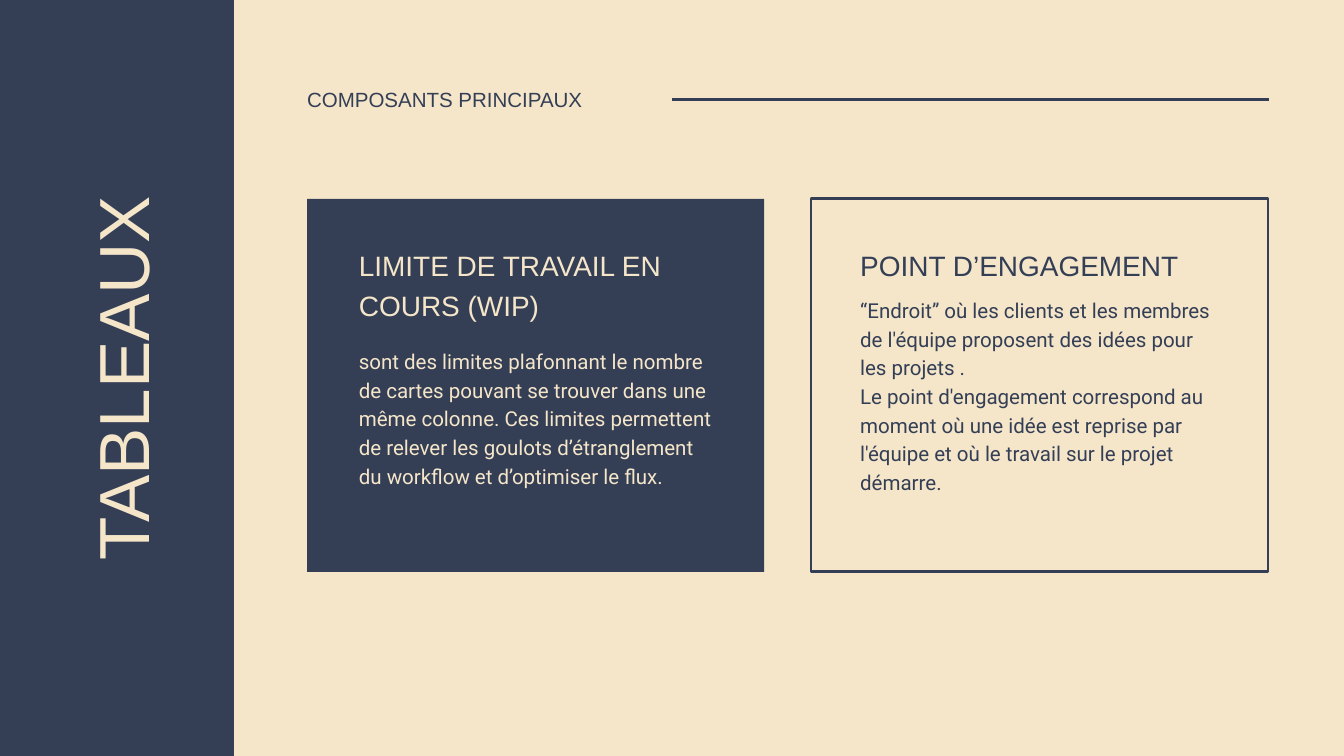
import dataclasses

import pptx
import pptx.dml.color
import pptx.enum.shapes
import pptx.enum.text
import pptx.oxml
import pptx.oxml.ns
import pptx.util

Inches = pptx.util.Inches
Pt = pptx.util.Pt


@dataclasses.dataclass(frozen=True)
class Theme:
    navy: str = "343F56"
    cream: str = "F5E6CA"
    heading_font: str = "Arial"
    body_font: str = "Roboto"
    title_size: int = 76
    heading_size: int = 30
    body_size: int = 22
    leading: float = 1.4
    rule_width: int = 3


THEME = Theme()
SLIDE_WIDTH, SLIDE_HEIGHT = 20, 11.25
SIDEBAR_WIDTH = 3.48
CARD_LEFT, CARD_TOP = 4.57, 2.96
CARD_WIDTH, CARD_HEIGHT, CARD_GAP = 6.8, 5.55, 0.7
HEADING_TOP = 3.62


def rgb(color):
    return pptx.dml.color.RGBColor.from_string(color)


def add_panel(slide, left, top, width, height, fill=None, outline=None):
    panel = slide.shapes.add_shape(
        pptx.enum.shapes.MSO_SHAPE.RECTANGLE,
        Inches(left), Inches(top), Inches(width), Inches(height))
    panel.shadow.inherit = False
    if fill:
        panel.fill.solid()
        panel.fill.fore_color.rgb = rgb(fill)
    else:
        panel.fill.background()
    if outline:
        panel.line.color.rgb = rgb(outline)
        panel.line.width = Pt(THEME.rule_width)
    else:
        panel.line.fill.background()


def add_text(slide, left, top, width, height, paragraphs, size, font, color,
             align=pptx.enum.text.PP_ALIGN.LEFT):
    box = slide.shapes.add_textbox(
        Inches(left), Inches(top), Inches(width), Inches(height))
    frame = box.text_frame
    frame.word_wrap = True
    frame.margin_left = frame.margin_right = 0
    frame.margin_top = frame.margin_bottom = 0
    for index, wording in enumerate(paragraphs):
        paragraph = frame.add_paragraph() if index else frame.paragraphs[0]
        paragraph.alignment = align
        paragraph.line_spacing = Pt(size * THEME.leading)
        run = paragraph.add_run()
        run.text = wording
        run.font.size = Pt(size)
        run.font.name = font
        run.font.color.rgb = rgb(color)
    return box


def add_rule(slide, start, end, y):
    rule = slide.shapes.add_connector(
        pptx.enum.shapes.MSO_CONNECTOR.STRAIGHT,
        Inches(start), Inches(y), Inches(end), Inches(y))
    rule.line.color.rgb = rgb(THEME.navy)
    rule.line.width = Pt(THEME.rule_width)
    properties = rule._element.spPr
    properties.append(pptx.oxml.parse_xml(
        f'<a:effectLst {pptx.oxml.ns.nsdecls("a")}/>'))


def add_sidebar(slide, title):
    add_panel(slide, 0, 0, SIDEBAR_WIDTH, SLIDE_HEIGHT, fill=THEME.navy)
    label = add_text(slide, -2.79, 4.88, 9, 1.5, [title], THEME.title_size,
                     THEME.heading_font, THEME.cream,
                     pptx.enum.text.PP_ALIGN.CENTER)
    label.rotation = 270


def add_card(slide, column, heading, heading_size, body, body_top,
             body_height, text_inset, filled):
    """Place a filled or outlined card, with its heading and body, in a column."""
    left = CARD_LEFT + column * (CARD_WIDTH + CARD_GAP)
    text_left = left + text_inset
    ink = THEME.cream if filled else THEME.navy
    add_panel(slide, left, CARD_TOP, CARD_WIDTH, CARD_HEIGHT,
              fill=THEME.navy if filled else None,
              outline=None if filled else THEME.navy)
    add_text(slide, text_left, HEADING_TOP, *heading_size, [heading],
             THEME.heading_size, THEME.heading_font, ink)
    add_text(slide, text_left, body_top, 5.33, body_height, body,
             THEME.body_size, THEME.body_font, ink)


def main():
    deck = pptx.Presentation()
    deck.slide_width = Inches(SLIDE_WIDTH)
    deck.slide_height = Inches(SLIDE_HEIGHT)
    slide = deck.slides.add_slide(deck.slide_layouts[6])
    slide.background.fill.solid()
    slide.background.fill.fore_color.rgb = rgb(THEME.cream)

    add_text(slide, CARD_LEFT, 1.23, 5.43, 0.43, ["COMPOSANTS PRINCIPAUX"],
             THEME.body_size, THEME.heading_font, THEME.navy)
    add_sidebar(slide, "TABLEAUX")
    add_rule(slide, 10, 18.88, 1.48)

    add_card(
        slide, 0, "LIMITE DE TRAVAIL EN COURS (WIP)", (4.83, 1.22),
        ["sont des limites plafonnant le nombre de cartes pouvant se trouver "
         "dans une même colonne. Ces limites permettent de relever les "
         "goulots d’étranglement du workflow et d’optimiser le flux."],
        body_top=5.13, body_height=2.13, text_inset=0.77, filled=True)
    add_card(
        slide, 1, "POINT D’ENGAGEMENT", (5.88, 0.61),
        ["“Endroit” où les clients et les membres de l'équipe proposent des "
         "idées pour les projets .",
         "Le point d'engagement correspond au moment où une idée est reprise "
         "par l'équipe et où le travail sur le projet démarre."],
        body_top=4.37, body_height=2.98, text_inset=0.73, filled=False)

    deck.save("out.pptx")


if __name__ == "__main__":
    main()
